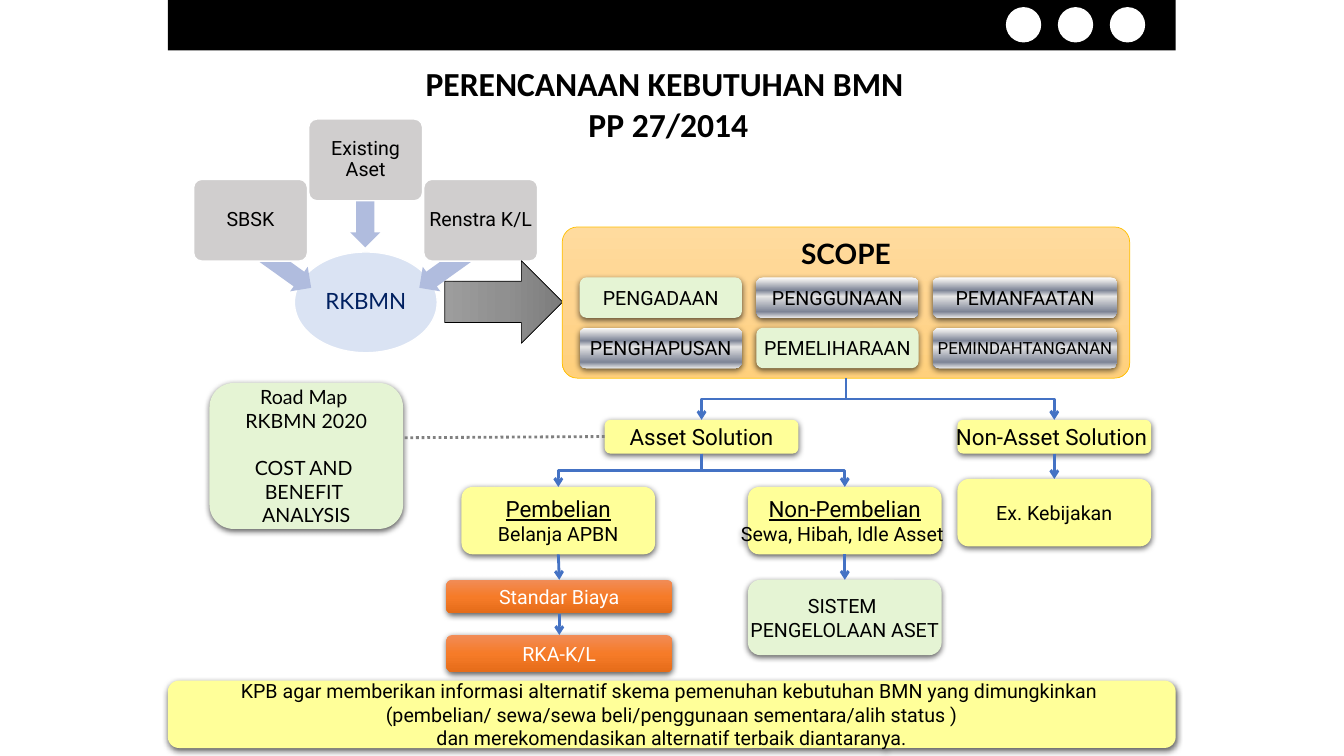
"""Build the slide on planning state asset needs (PP 27/2014)."""
from lxml.etree import SubElement
from pptx import Presentation
from pptx.dml.color import RGBColor
from pptx.enum.dml import MSO_LINE
from pptx.enum.shapes import MSO_CONNECTOR, MSO_SHAPE
from pptx.enum.text import MSO_ANCHOR, PP_ALIGN
from pptx.oxml.ns import qn
from pptx.util import Cm, Pt

BLACK = RGBColor(0x00, 0x00, 0x00)
WHITE = RGBColor(0xFF, 0xFF, 0xFF)
NAVY = RGBColor(0x00, 0x20, 0x60)
BLUE = RGBColor(0x44, 0x72, 0xC4)
PALE_BLUE = RGBColor(0xDA, 0xE3, 0xF3)
ARROW_BLUE = RGBColor(0xB0, 0xBC, 0xDE)
TILE_GREY = RGBColor(0xD0, 0xCE, 0xCE)
DOT_GREY = RGBColor(0x80, 0x80, 0x80)
GREEN = RGBColor(0xE5, 0xF4, 0xD4)
YELLOW = RGBColor(0xFF, 0xFF, 0x99)
GOLD = RGBColor(0xFF, 0xC0, 0x00)
LIGHT_STEEL = RGBColor(0xE6, 0xE6, 0xE6)
DARK_STEEL = RGBColor(0x7D, 0x84, 0x96)
STEEL = [(0, WHITE), (7, LIGHT_STEEL), (32, DARK_STEEL),
         (47, LIGHT_STEEL), (85, DARK_STEEL), (100, LIGHT_STEEL)]
PEACH = [(0, RGBColor(0xFF, 0xDB, 0x9E)), (50, RGBColor(0xFF, 0xD5, 0x90)),
         (100, RGBColor(0xFF, 0xD0, 0x7C))]
ORANGE = [(0, RGBColor(0xF1, 0x8C, 0x57)), (50, RGBColor(0xF6, 0x7B, 0x28)),
          (100, RGBColor(0xE5, 0x6C, 0x19))]
GREY = [(0, RGBColor(0x9D, 0x9D, 0x9D)), (50, RGBColor(0x90, 0x90, 0x90)),
        (100, RGBColor(0x7C, 0x7C, 0x7C))]

TITLE = "PERENCANAAN KEBUTUHAN BMN \nPP 27/2014"
SCOPE_GRID = [
    [("PENGADAAN", GREEN, 14), ("PENGGUNAAN", STEEL, 14), ("PEMANFAATAN", STEEL, 14)],
    [("PENGHAPUSAN", STEEL, 14), ("PEMELIHARAAN", GREEN, 14), ("PEMINDAHTANGANAN", STEEL, 12)],
]
SCOPE_WIDTHS = [4.09, 4.09, 4.65]
INPUTS = [("SBSK", 4.52), ("Existing Aset", 3.0), ("Renstra K/L", 4.52)]
INPUT_ARROWS = [
    ((6.12, 6.32, 1.9, 0.76), 215.6),
    ((8.1, 4.75, 2.21, 0.76), 270),
    ((10.39, 6.32, 1.9, 0.76), 324.4),
]
BOXES = {
    "asset": ("Asset Solution", (15.24, 10.58, 4.88, 0.85), YELLOW, 16, BLACK, "Roboto"),
    "non_asset": ("Non-Asset Solution ", (24.13, 10.58, 4.88, 0.85), YELLOW, 16, BLACK, "Roboto"),
    "purchase": ("Pembelian\nBelanja APBN", (11.63, 12.27, 4.88, 1.7), YELLOW, 14, BLACK, "Roboto"),
    "non_purchase": ("Non-Pembelian\nSewa, Hibah, Idle Asset ", (18.85, 12.27, 4.88, 1.7),
                     YELLOW, 14, BLACK, "Roboto"),
    "policy": ("Ex. Kebijakan", (24.13, 12.07, 4.88, 1.7), YELLOW, 14, BLACK, "Roboto"),
    "cost": ("Standar Biaya", (11.25, 14.61, 5.69, 0.85), ORANGE, 14, WHITE, "Roboto"),
    "budget": ("RKA-K/L", (11.25, 16, 5.69, 0.94), ORANGE, 14, WHITE, "Roboto"),
    "system": ("SISTEM \nPENGELOLAAN ASET", (18.85, 14.61, 4.88, 1.9), GREEN, 14, BLACK, "Roboto"),
    "road_map": ("Road Map \nRKBMN 2020\nCOST AND \nBENEFIT \nANALYSIS",
                 (5.28, 9.65, 4.88, 3.68), GREEN, 14, BLACK, "Lato"),
    "note": ("KPB agar memberikan informasi alternatif skema pemenuhan kebutuhan BMN yang dimungkinkan "
             "\n(pembelian/ sewa/sewa beli/penggunaan sementara/alih status )"
             "\ndan merekomendasikan alternatif terbaik diantaranya.",
             (4.23, 17.15, 25.4, 1.7), YELLOW, 14, BLACK, "Roboto"),
}
BRANCHES = [("scope", "asset"), ("scope", "non_asset"),
            ("asset", "purchase"), ("asset", "non_purchase")]
STEPS = [("purchase", "cost"), ("cost", "budget"),
         ("non_purchase", "system"), ("non_asset", "policy")]
BOTTOM_SITE, TOP_SITE = 2, 0


def paint(shape, fill, angle=270):
    """Fill a shape with one colour or with a list of gradient stops."""
    if isinstance(fill, RGBColor):
        shape.fill.solid()
        shape.fill.fore_color.rgb = fill
        return
    shape.fill.gradient()
    shape.fill.gradient_angle = angle
    stops = shape._element.spPr.find(".//" + qn("a:gsLst"))
    for stop in list(stops):
        stops.remove(stop)
    for position, colour in fill:
        stop = SubElement(stops, qn("a:gs"), pos=str(position * 1000))
        SubElement(stop, qn("a:srgbClr"), val=str(colour))


def add_shape(slide, preset, bounds, fill, line=None, line_width=1, angle=270):
    """Add a flat preset shape."""
    shape = slide.shapes.add_shape(preset, *map(Cm, bounds))
    shape.shadow.inherit = False
    paint(shape, fill, angle)
    if line is None:
        shape.line.fill.background()
    else:
        shape.line.color.rgb = line
        shape.line.width = Pt(line_width)
    return shape


def write(shape, text, size, colour=BLACK, font="Roboto", bold=False,
          anchor=MSO_ANCHOR.MIDDLE, wrap=True, spacing=None):
    """Write centred text into a shape."""
    frame = shape.text_frame
    frame.text = text
    frame.word_wrap = wrap
    frame.vertical_anchor = anchor
    for paragraph in frame.paragraphs:
        paragraph.alignment = PP_ALIGN.CENTER
        paragraph.line_spacing = spacing
        for run in paragraph.runs:
            run.font.name = font
            run.font.size = Pt(size)
            run.font.bold = bold
            run.font.color.rgb = colour


def add_box(slide, text, bounds, fill, size, colour=BLACK, font="Roboto"):
    """Add a rounded box with a soft shadow."""
    box = add_shape(slide, MSO_SHAPE.ROUNDED_RECTANGLE, bounds, fill)
    effects = box._element.spPr.find(qn("a:effectLst"))
    shadow = SubElement(effects, qn("a:outerShdw"), blurRad="57150", dist="19050",
                        dir="5400000", algn="ctr", rotWithShape="0")
    tone = SubElement(shadow, qn("a:srgbClr"), val=str(BLACK))
    SubElement(tone, qn("a:alpha"), val="63000")
    write(box, text, size, colour, font, wrap=False)
    return box


def style_line(connector, colour):
    """Set the look shared by all connectors."""
    connector.line.color.rgb = colour
    connector.line.width = Pt(2)
    SubElement(connector._element.spPr, qn("a:effectLst"))


def connect(slide, source, target, kind):
    """Lead an arrow from the bottom of one box to the top of another."""
    connector = slide.shapes.add_connector(kind, 0, 0, 0, 0)
    connector.begin_connect(source, BOTTOM_SITE)
    connector.end_connect(target, TOP_SITE)
    style_line(connector, BLUE)
    SubElement(connector.line._get_or_add_ln(), qn("a:tailEnd"), type="arrow")
    if kind == MSO_CONNECTOR.ELBOW:
        turn_down(connector)


def turn_down(connector):
    """Rotate an elbow so that it leaves and arrives vertically."""
    goes_right = connector.end_x > connector.begin_x
    across, down = connector.width, connector.height
    connector.left += (across - down) // 2
    connector.top += (down - across) // 2
    connector.width, connector.height = down, across
    transform = connector._element.spPr.find(qn("a:xfrm"))
    transform.set("rot", str((270 if goes_right else 90) * 60000))
    transform.set("flipH", str(int(goes_right)))


def add_header(slide):
    """Add the black band, its circles and the title."""
    add_shape(slide, MSO_SHAPE.RECTANGLE, (4.23, 0, 25.4, 1.27), BLACK)
    for index in range(3):
        add_shape(slide, MSO_SHAPE.OVAL, (25.35 + 1.31 * index, 0.18, 0.89, 0.89), WHITE)
    title = slide.shapes.add_textbox(Cm(4.88), Cm(1.47), Cm(23.93), Cm(1.78))
    write(title, TITLE, 24, font="Calibri", bold=True, anchor=MSO_ANCHOR.TOP)


def add_inputs(slide):
    """Add the three inputs that feed the RKBMN ellipse."""
    ellipse = add_shape(slide, MSO_SHAPE.OVAL, (7.42, 6.35, 3.6, 2.54), PALE_BLUE, WHITE)
    write(ellipse, "RKBMN", 16, NAVY, "Lato", wrap=False, spacing=0.9)
    for bounds, rotation in INPUT_ARROWS:
        arrow = add_shape(slide, MSO_SHAPE.LEFT_ARROW, bounds, ARROW_BLUE)
        arrow.adjustments[0] = 0.6
        arrow.rotation = rotation
    for index, (label, top) in enumerate(INPUTS):
        tile = add_shape(slide, MSO_SHAPE.ROUNDED_RECTANGLE,
                         (4.88 + 2.9 * index, top, 2.87, 2.06), TILE_GREY, WHITE)
        tile.adjustments[0] = 0.1
        frame = tile.text_frame
        frame.margin_left = frame.margin_right = Cm(0.07)
        write(tile, label, 14, spacing=0.9)
    add_shape(slide, MSO_SHAPE.RIGHT_ARROW, (11.21, 6.57, 2.97, 2.08), GREY, BLACK, 0.5, angle=0)


def add_scope(slide):
    """Add the scope panel with its grid and return the panel."""
    panel = add_shape(slide, MSO_SHAPE.ROUNDED_RECTANGLE, (14.17, 5.72, 14.3, 3.81), PEACH, GOLD, 0.5)
    panel.adjustments[0] = 0.1
    write(panel, "SCOPE", 20, font="Lato", bold=True, anchor=MSO_ANCHOR.TOP)
    for row, cells in enumerate(SCOPE_GRID):
        for column, (label, fill, size) in enumerate(cells):
            bounds = (14.61 + 4.45 * column, 6.99 + 1.27 * row, SCOPE_WIDTHS[column], 1.02)
            add_box(slide, label, bounds, fill, size)
    return panel


def main():
    """Build and save the presentation."""
    presentation = Presentation()
    presentation.slide_width, presentation.slide_height = Cm(33.87), Cm(19.05)
    slide = presentation.slides.add_slide(presentation.slide_layouts[6])
    add_header(slide)
    add_inputs(slide)
    boxes = {"scope": add_scope(slide)}
    for name, content in BOXES.items():
        boxes[name] = add_box(slide, *content)
    for name in ("purchase", "non_purchase"):
        heading = boxes[name].text_frame.paragraphs[0].runs[0].font
        heading.size, heading.underline = Pt(16), True
    boxes["road_map"].text_frame.paragraphs[2].space_before = Pt(17)
    for links, kind in ((BRANCHES, MSO_CONNECTOR.ELBOW), (STEPS, MSO_CONNECTOR.STRAIGHT)):
        for source, target in links:
            connect(slide, boxes[source], boxes[target], kind)
    dotted = slide.shapes.add_connector(MSO_CONNECTOR.STRAIGHT, Cm(15.24), Cm(11), Cm(10.16), Cm(11.03))
    style_line(dotted, DOT_GREY)
    dotted.line.dash_style = MSO_LINE.ROUND_DOT
    presentation.save("out.pptx")


if __name__ == "__main__":
    main()
